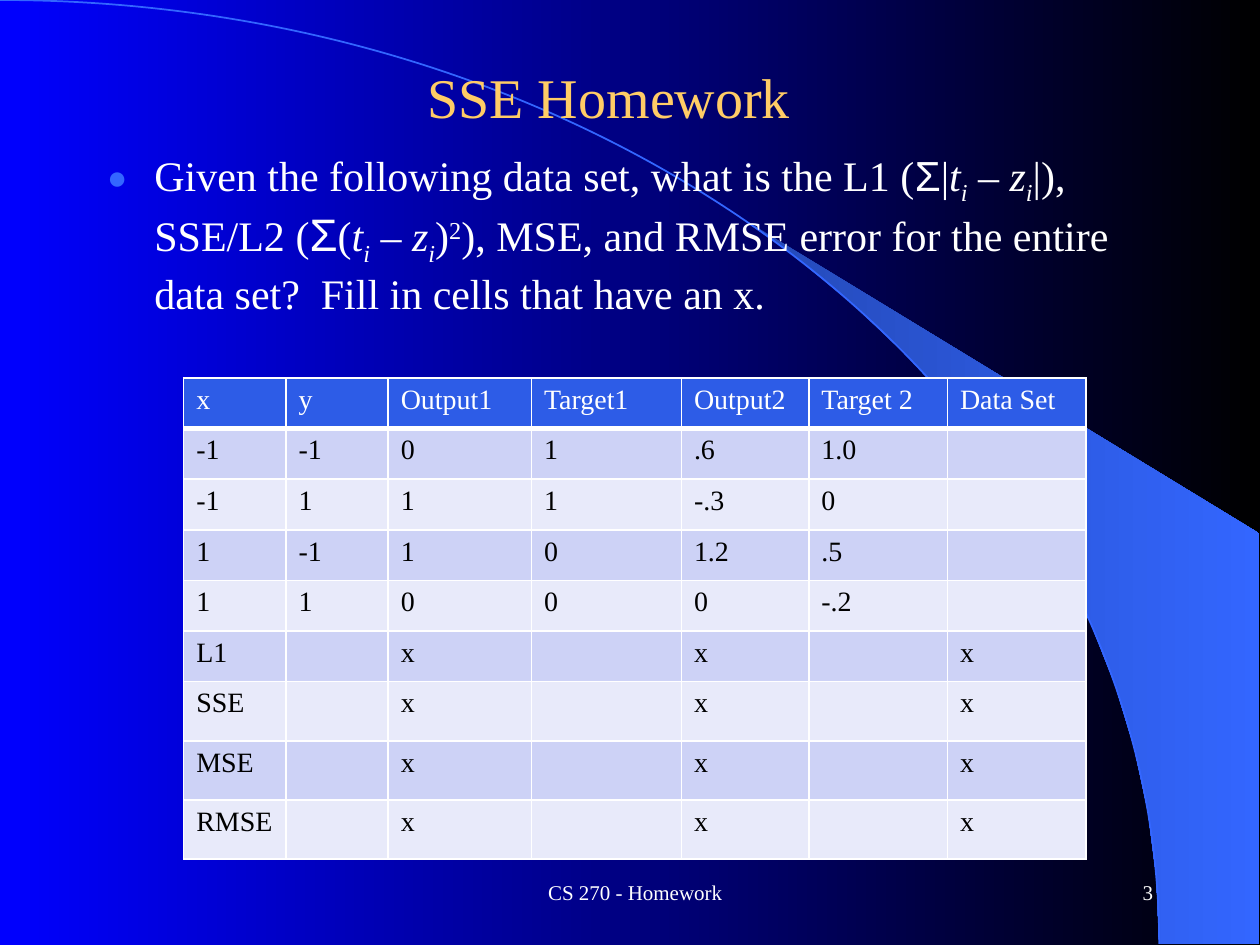
"""Build the SSE Homework slide: swoosh backdrop, question and error table."""
import lxml.etree
import pptx
import pptx.dml.color
import pptx.enum.text
import pptx.oxml.ns
import pptx.util

qn = pptx.oxml.ns.qn
rgb = pptx.dml.color.RGBColor.from_string
align = pptx.enum.text.PP_ALIGN
middle = pptx.enum.text.MSO_ANCHOR.MIDDLE


def write(paragraph, text, colour, baseline=0, **formats):
    run = paragraph.add_run()
    run.text = text
    run.font.color.rgb = rgb(colour)
    for name, value in {"name": "Times New Roman", "bold": False, **formats}.items():
        setattr(run.font, name, value)
    if baseline:
        run._r.get_or_add_rPr().set("baseline", str(baseline * 1000))


def shade(fill, left_colour, right_colour):
    fill.gradient()
    fill.gradient_angle = 0
    for stop, colour, position in zip(fill.gradient_stops, (left_colour, right_colour), (0, 1)):
        stop.color.rgb = rgb(colour)
        stop.position = position


deck = pptx.Presentation()
deck.slide_width, deck.slide_height = pptx.util.Inches(10), pptx.util.Inches(7.5)
unit = deck.slide_width // 120
slide = deck.slides.add_slide(deck.slide_layouts[1])
shade(slide.background.fill, "0000FF", "000000")
heading, question = slide.shapes.title, slide.placeholders[1]

arc = [(0, 0), (61, 0), (110.4, 40.2), (110.4, 89.9)]
wedge = [(119.9, 89.9), (119.9, 50.8)]
for step in range(14):
    t = 0.44 + 0.56 * step / 13
    weights = ((1 - t) ** 3, 3 * t * (1 - t) ** 2, 3 * t ** 2 * (1 - t), t ** 3)
    wedge.append(tuple(sum(w * p[axis] for w, p in zip(weights, arc)) for axis in (0, 1)))
for outline in (wedge, arc):
    points = [(x * unit, y * unit) for x, y in outline]
    builder = slide.shapes.build_freeform(*points[0])
    builder.add_line_segments(points[1:], close=outline is wedge)
    swoosh = builder.convert_to_shape()
    swoosh.shadow.inherit = False
    if outline is wedge:
        shade(swoosh.fill, "2449B6", "3366FF")
        swoosh.line.fill.background()
    else:
        swoosh.fill.background()
        swoosh.line.color.rgb = rgb("3366FF")
        swoosh.line.width = pptx.util.Pt(1)
        segments = list(swoosh.element.iter(qn("a:lnTo")))
        bend = lxml.etree.SubElement(segments[0].getparent(), qn("a:cubicBezTo"))
        for segment in segments:
            bend.append(segment[0])
            segment.getparent().remove(segment)
    heading.element.addprevious(swoosh.element)

for holder, box in ((heading, (7, 3.7, 102, 11)), (question, (9, 13.6, 102, 19.8))):
    for side, length in zip(("left", "top", "width", "height"), box):
        setattr(holder, side, int(length * unit))
    holder.text_frame.auto_size = pptx.enum.text.MSO_AUTO_SIZE.NONE

heading.text_frame.vertical_anchor = middle
title_line = heading.text_frame.paragraphs[0]
title_line.alignment = align.CENTER
write(title_line, "SSE Homework", "FFCC66", size=pptx.util.Pt(32))

task = question.text_frame.paragraphs[0]
bullet = task._p.get_or_add_pPr()
bullet.set("marL", str(int(4.5 * unit)))
bullet.set("indent", str(int(-4.5 * unit)))
bullet_colour = lxml.etree.SubElement(bullet, qn("a:buClr"))
for parent, tag, key, value in ((bullet_colour, "a:srgbClr", "val", "3366FF"),
                                (bullet, "a:buSzPct", "val", "80000"),
                                (bullet, "a:buFont", "typeface", "Times New Roman"),
                                (bullet, "a:buChar", "char", "●")):
    lxml.etree.SubElement(parent, qn(tag)).set(key, value)
task.line_spacing = 1.0
task.space_before = pptx.util.Pt(0)
difference = [("t", {"italic": True}), ("i", {"italic": True, "baseline": -25}),
              (" – z", {"italic": True}), ("i", {"italic": True, "baseline": -25})]
wording = [("Given the following data set, what is the L1 (", {}), ("Σ", {"name": "Arial"}),
           ("|", {}), *difference, ("|), SSE/L2 (", {}),
           ("Σ", {"name": "Arial", "size": pptx.util.Pt(26)}), ("(", {}), *difference,
           (")", {}), ("2", {"baseline": 30}),
           ("), MSE, and RMSE error for the entire data set?  Fill in cells that have an x.", {})]
for text, formats in wording:
    write(task, text, "FFFFFF", **{"size": pptx.util.Pt(24), **formats})

for text, left, width, side in (("CS 270 - Homework", 38, 45, align.CENTER),
                                ("3", 86, 25, align.RIGHT)):
    footer = slide.shapes.add_textbox(left * unit, 82 * unit, width * unit, 6 * unit).text_frame
    footer.word_wrap = True
    footer.vertical_anchor = middle
    footer.paragraphs[0].alignment = side
    write(footer.paragraphs[0], text, "FFFFFF", size=pptx.util.Pt(12))

records = [("x", "y", "Output1", "Target1", "Output2", "Target 2", "Data Set"),
           ("-1", "-1", "0", "1", ".6", "1.0", ""),
           ("-1", "1", "1", "1", "-.3", "0", ""),
           ("1", "-1", "1", "0", "1.2", ".5", ""),
           ("1", "1", "0", "0", "0", "-.2", "")]
records += [(measure, "", "x", "", "x", "", "x") for measure in ("L1", "SSE", "MSE", "RMSE")]
column_widths = (9.74, 9.74, 13.65, 14.28, 12.14, 13.2, 13.2)
row_heights = [4.82] * 6 + [5.64] * 3
errors = slide.shapes.add_table(len(records), len(column_widths), int(17.5 * unit), 36 * unit,
                                int(sum(column_widths) * unit), int(sum(row_heights) * unit)).table
for column, width in zip(errors.columns, column_widths):
    column.width = int(width * unit)
for r, (record, height) in enumerate(zip(records, row_heights)):
    errors.rows[r].height = int(height * unit)
    for c, value in enumerate(record):
        cell = errors.cell(r, c)
        cell.fill.solid()
        cell.fill.fore_color.rgb = rgb("2D5CE7" if r == 0 else "CDD2F6" if r % 2 else "E8EAFA")
        if value:
            write(cell.text_frame.paragraphs[0], value, "000000" if r else "FFFFFF",
                  size=pptx.util.Pt(16))
        for place, edge in enumerate(("lnL", "lnR", "lnT", "lnB")):
            heavy = (r, edge) in ((0, "lnB"), (1, "lnT"))
            border = lxml.etree.Element(qn("a:" + edge), w=str(pptx.util.Pt(3 if heavy else 1)))
            paint = lxml.etree.SubElement(border, qn("a:solidFill"))
            lxml.etree.SubElement(paint, qn("a:srgbClr"), val="FFFFFF")
            cell._tc.get_or_add_tcPr().insert(place, border)

deck.save("out.pptx")
